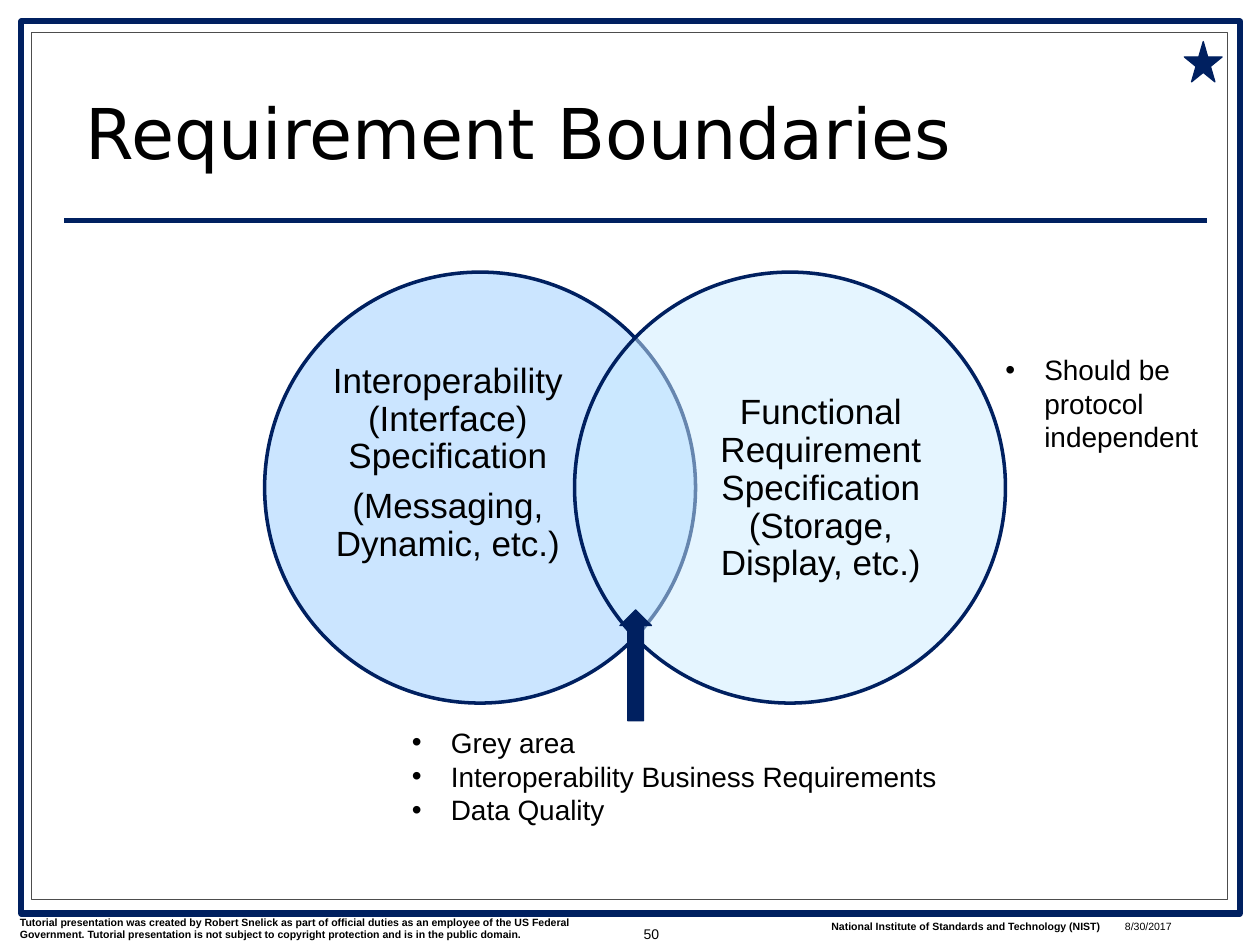
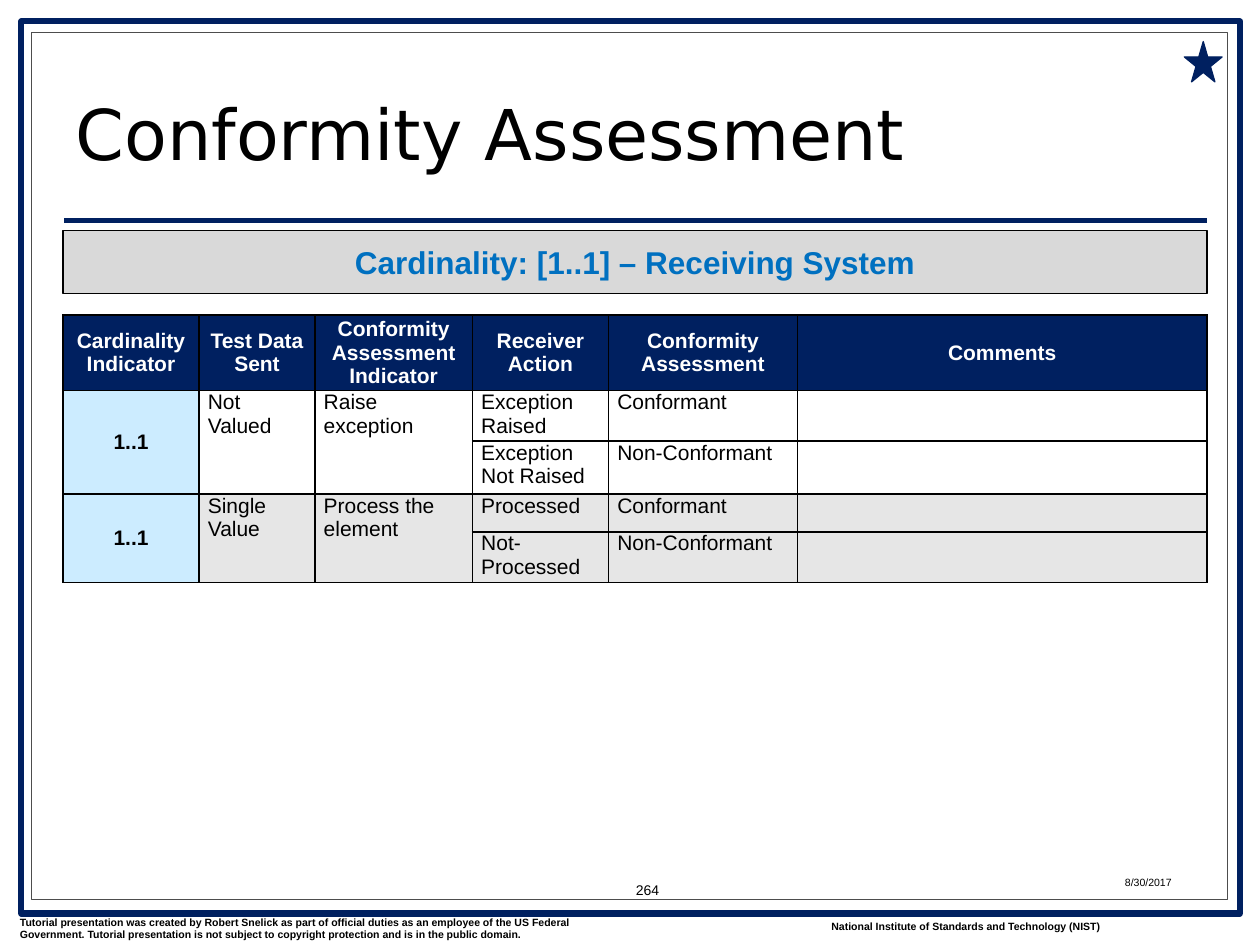
import lxml.etree
import pptx
import pptx.dml.color
import pptx.enum.shapes
import pptx.enum.text
import pptx.oxml.ns
import pptx.util

SCALE = 9144
NAVY, BLACK, WHITE = "002060", "000000", "FFFFFF"
GRAY, SKY, PALE = "4D4D4D", "99CCFF", "CCECFF"
BAND, SHADE, BLUE = "D9D9D9", "E6E6E6", "0070C0"
SHAPE = pptx.enum.shapes.MSO_SHAPE
ALIGN = pptx.enum.text.PP_ALIGN
ANCHOR = pptx.enum.text.MSO_ANCHOR
LEGAL = (
    "Tutorial presentation was created by Robert Snelick as part of official duties "
    "as an employee of the US Federal Government. Tutorial presentation is not "
    "subject to copyright protection and is in the public domain."
)
OWNER = "National Institute of Standards and Technology (NIST)"
DATE = "8/30/2017"
HEADS = ["Cardinality Indicator", "Test Data Sent", "Conformity Assessment Indicator",
         "Receiver Action", "Conformity Assessment", "Comments"]
CASES = [
    ("1..1", "Not Valued", "Raise exception", WHITE,
     [("Exception Raised", "Conformant"), ("Exception Not Raised", "Non-Conformant")]),
    ("1..1", "Single Value", "Process the element", SHADE,
     [("Processed", "Conformant"), ("Not- Processed", "Non-Conformant")]),
]
COLS = [108, 92, 125, 108, 150, 325]
ROWS = [56, 37, 42, 28, 37]
TIGHT = {"margin_left": 7, "margin_right": 7, "margin_top": 0, "margin_bottom": 0}


def px(size):
    return pptx.util.Emu(int(size * SCALE))


def color(code):
    return pptx.dml.color.RGBColor.from_string(code)


def apply(target, values):
    for name, value in values.items():
        setattr(target, name, value)


def add_tag(parent, tag, **values):
    return lxml.etree.SubElement(parent, pptx.oxml.ns.qn(tag), values)


def paint(target, code):
    target.fill.solid()
    target.fill.fore_color.rgb = color(code)


def stroke(line, code, width):
    line.color.rgb = color(code)
    line.width = pptx.util.Pt(width)


def write(frame, lines, size, tint=BLACK, bold=False, face="Arial",
          bullet=False, **style):
    for order, text in enumerate(lines):
        para = frame.paragraphs[0] if order == 0 else frame.add_paragraph()
        apply(para, style)
        if order and style.get("line_spacing") == 0.9:
            para.space_before = pptx.util.Pt(7)
        if bullet:
            props = para._p.get_or_add_pPr()
            apply_indent = {"marL": str(px(31)), "indent": str(-px(31))}
            for name, value in apply_indent.items():
                props.set(name, value)
            add_tag(props, "a:buFont", typeface="Arial")
            add_tag(props, "a:buChar", char="•")
        run = para.add_run()
        run.text = text
        apply(run.font, {"size": pptx.util.Pt(size), "bold": bold, "name": face})
        run.font.color.rgb = color(tint)


def label(slide, box, lines, size, anchor=ANCHOR.TOP, inset=None, **style):
    frame = slide.shapes.add_textbox(*map(px, box)).text_frame
    apply(frame, {"word_wrap": True, "vertical_anchor": anchor})
    if inset is not None:
        apply(frame, dict.fromkeys(TIGHT, px(inset)))
    write(frame, lines, size, **style)


def draw(slide, kind, box, fill, edge, width, clear=None):
    shape = slide.shapes.add_shape(kind, *map(px, box))
    shape.shadow.inherit = False
    stroke(shape.line, edge, width)
    if fill is None:
        shape.fill.background()
    else:
        paint(shape, fill)
    if clear:
        tone = shape._element.spPr.find(".//" + pptx.oxml.ns.qn("a:srgbClr"))
        add_tag(tone, "a:alpha", val=str(clear * 1000))
    return shape


def base(deck, text, spot, page, foot):
    slide = deck.slides.add_slide(deck.slide_layouts[5])
    draw(slide, SHAPE.RECTANGLE, (17, 17, 967, 708), None, NAVY, 3.5)
    draw(slide, SHAPE.RECTANGLE, (25, 26, 949, 688), None, GRAY, 0.75)
    rule = slide.shapes.add_connector(
        pptx.enum.shapes.MSO_CONNECTOR.STRAIGHT, *map(px, (51, 175, 958, 175)))
    stroke(rule.line, NAVY, 3)
    add_tag(rule._element.spPr, "a:effectLst")
    label(slide, (6, 722, 483, 30), [LEGAL], 6, bold=True)
    label(slide, (650, 725, 238, 20), [OWNER], 6, bold=True)
    label(slide, (883, foot, 92, 17), [DATE], 6)
    label(slide, (475, foot - 10, 58, 52), [page], 8,
          anchor=ANCHOR.MIDDLE, alignment=ALIGN.RIGHT)
    title = slide.shapes.title
    apply(title, dict(zip(("left", "top", "width", "height"), map(px, (*spot, 892, 90)))))
    apply(title.text_frame, {"word_wrap": True, "vertical_anchor": ANCHOR.BOTTOM,
                             "auto_size": pptx.enum.text.MSO_AUTO_SIZE.NONE})
    write(title.text_frame, [text], 40, face="DejaVu Sans",
          alignment=ALIGN.LEFT, line_spacing=0.8)
    draw(slide, SHAPE.STAR_5_POINT, (940, 33, 30, 32), NAVY, NAVY, 0.75)
    return slide


def venn(slide, box):
    left, top, width, size = box
    sides = [
        (left, 47, 222, SKY,
         ["Interoperability (Interface) Specification", "(Messaging, Dynamic, etc.)"]),
        (left + width - size, 97, 262, PALE,
         ["Functional Requirement Specification (Storage, Display, etc.)"]),
    ]
    for start, shift, height, fill, lines in sides:
        draw(slide, SHAPE.OVAL, (start, top, size, size), fill, NAVY, 2, clear=50)
        label(slide, (start + shift, top + 41, 197, height), lines, 20,
              anchor=ANCHOR.MIDDLE, inset=0, alignment=ALIGN.CENTER, line_spacing=0.9)
    draw(slide, SHAPE.UP_ARROW, (left + width // 2 - 12, top + size - 74, 25, 88),
         NAVY, NAVY, 0.75)
    label(slide, (left + 107, top + 355, 542, 91),
          ["Grey area", "Interoperability Business Requirements", "Data Quality"],
          16, bullet=True)
    label(slide, (left + 578, top + 59, 192, 91),
          ["Should be protocol independent"], 16, bullet=True)


def fill_cell(cell, text, fill, tint=BLACK, strong=False):
    apply(cell, {name: px(size) for name, size in TIGHT.items()})
    cell.vertical_anchor = ANCHOR.MIDDLE if strong else ANCHOR.TOP
    props = cell._tc.get_or_add_tcPr()
    for side in ("a:lnL", "a:lnR", "a:lnT", "a:lnB"):
        line = add_tag(props, side, w=str(pptx.util.Pt(1)))
        add_tag(add_tag(line, "a:solidFill"), "a:srgbClr", val=BLACK)
    paint(cell, fill)
    write(cell.text_frame, [text], 12, tint=tint, bold=strong,
          alignment=ALIGN.CENTER if strong else ALIGN.LEFT)


def grid(slide, box):
    table = slide.shapes.add_table(len(ROWS), len(COLS), *map(px, box)).table
    for part, size in zip(table.columns, COLS):
        part.width = px(size)
    for part, size in zip(table.rows, ROWS):
        part.height = px(size)
    for col, head in enumerate(HEADS):
        fill_cell(table.cell(0, col), head, NAVY, WHITE, True)
    for case, (mark, sent, need, fill, ends) in enumerate(CASES):
        first = 1 + 2 * case
        for step, end in enumerate(ends):
            lead = ("", "", "") if step else (mark, sent, need)
            for col, text in enumerate((*lead, *end, "")):
                fill_cell(table.cell(first + step, col), text,
                          fill if col else PALE, strong=col == 0)
        for col in range(3):
            table.cell(first, col).merge(table.cell(first + 1, col))


def assess(slide, box):
    left, top, width, height = box
    band = draw(slide, SHAPE.RECTANGLE, (left, top, width, 50), BAND, BLACK, 0.75)
    band.text_frame.vertical_anchor = ANCHOR.MIDDLE
    write(band.text_frame, ["Cardinality: [1..1] – Receiving System"], 18,
          tint=BLUE, bold=True, alignment=ALIGN.CENTER)
    grid(slide, (left, top + 67, width, height - 67))


def main():
    deck = pptx.Presentation()
    apply(deck, {"slide_width": px(1000), "slide_height": px(750)})
    venn(base(deck, "Requirement Boundaries", (58, 52), "50", 725), (210, 216, 588, 342))
    assess(base(deck, "Conformity Assessment", (50, 53), "264", 690), (50, 183, 908, 267))
    deck.save("out.pptx")


if __name__ == "__main__":
    main()
